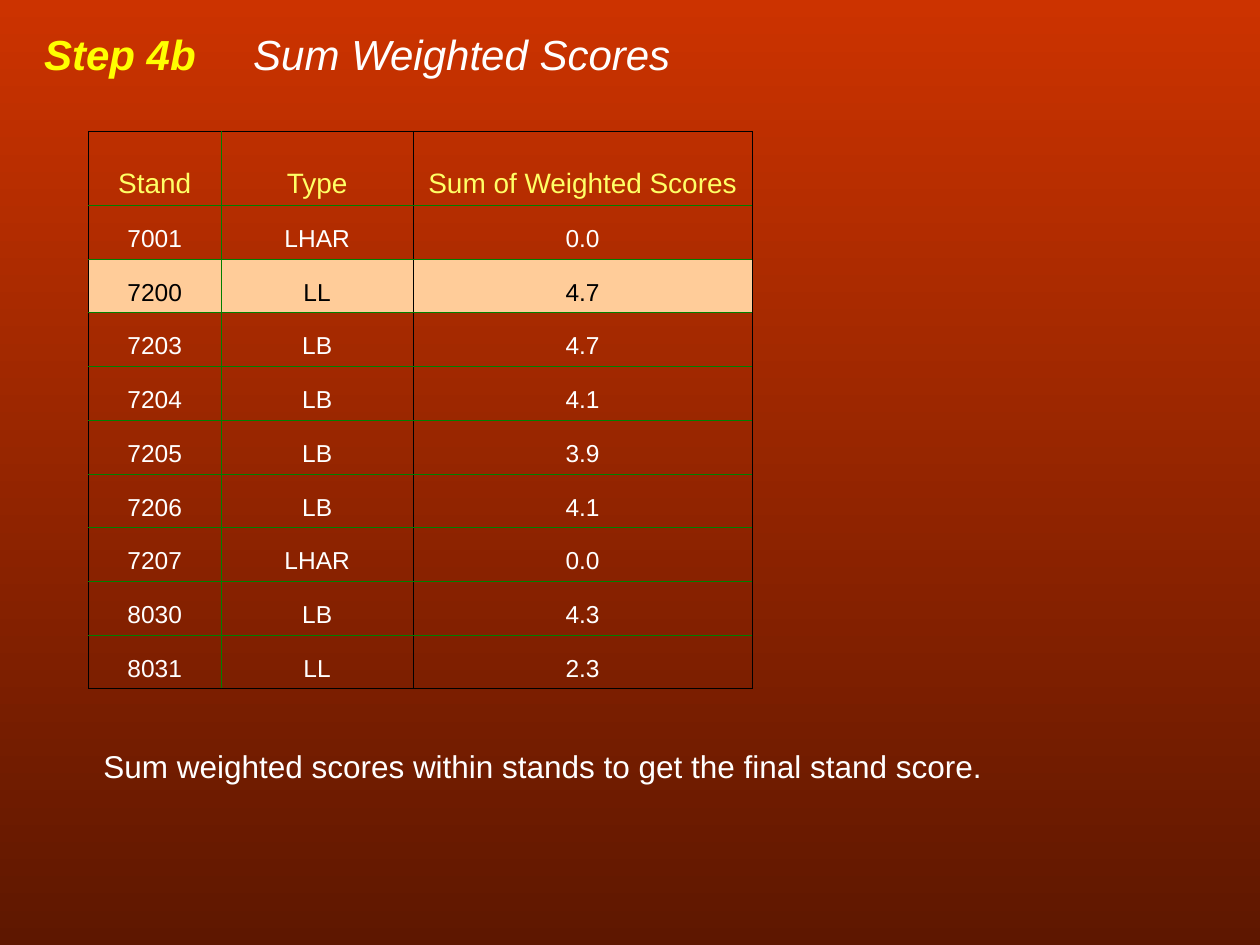
from lxml import etree
from pptx import Presentation
from pptx.dml.color import RGBColor
from pptx.enum.text import MSO_ANCHOR, MSO_AUTO_SIZE, PP_ALIGN
from pptx.oxml.ns import qn
from pptx.util import Pt

TOP, BOTTOM = MSO_ANCHOR.TOP, MSO_ANCHOR.BOTTOM
LEFT, CENTER = PP_ALIGN.LEFT, PP_ALIGN.CENTER
NO_AUTOFIT = MSO_AUTO_SIZE.NONE
TITLE_ONLY = 5
BLACK, GREEN, WHITE = "000000", "008000", "FFFFFF"


def format_font(font, size, color, bold=False, italic=False):
    font.name = "Arial"
    font.size = Pt(size)
    font.bold = bold
    font.italic = italic
    font.color.rgb = RGBColor.from_string(color)


def add_border(cell, side, color):
    line = etree.SubElement(cell._tc.get_or_add_tcPr(), qn(f"a:ln{side}"), w=str(Pt(0.45)))
    fill = etree.SubElement(line, qn("a:solidFill"))
    etree.SubElement(fill, qn("a:srgbClr"), val=color)


presentation = Presentation()
presentation.slide_width = Pt(720)
presentation.slide_height = Pt(540)
slide = presentation.slides.add_slide(presentation.slide_layouts[TITLE_ONLY])

# Background gradient, from top to bottom
background = slide.background.fill
background.gradient()
background.gradient_angle = 270
for stop, color in zip(background.gradient_stops, ("CC3300", "5E1700")):
    stop.color.rgb = RGBColor.from_string(color)

# Title: step number, tab, step name
title = slide.shapes.title
title.left, title.top, title.width, title.height = Pt(18), Pt(12.5), Pt(380), Pt(36)
title.text_frame.vertical_anchor = TOP
title.text_frame.auto_size = NO_AUTOFIT
paragraph = title.text_frame.paragraphs[0]
paragraph.alignment = LEFT
tabs = etree.SubElement(paragraph._p.get_or_add_pPr(), qn("a:tabLst"))
etree.SubElement(tabs, qn("a:tab"), pos=str(Pt(119.5)), algn="l")
for text, color, bold in (("Step 4b\t", "FFFF00", True), ("Sum Weighted Scores", WHITE, False)):
    run = paragraph.add_run()
    run.text = text
    format_font(run.font, 24, color, bold=bold, italic=True)

# Score table
rows = [
    ("Stand", "Type", "Sum of Weighted Scores"),
    ("7001", "LHAR", "0.0"),
    ("7200", "LL", "4.7"),
    ("7203", "LB", "4.7"),
    ("7204", "LB", "4.1"),
    ("7205", "LB", "3.9"),
    ("7206", "LB", "4.1"),
    ("7207", "LHAR", "0.0"),
    ("8030", "LB", "4.3"),
    ("8031", "LL", "2.3"),
]
column_widths = (76, 109.7, 193.7)
header_height, row_height = 42.3, 30.7
highlighted_row = 2
last_row = len(rows) - 1
table = slide.shapes.add_table(
    len(rows), len(column_widths), Pt(50.4), Pt(75), Pt(sum(column_widths)),
    Pt(header_height + last_row * row_height)).table
table.first_row = False
table.horz_banding = False
for column, width in zip(table.columns, column_widths):
    column.width = Pt(width)

for row_index, values in enumerate(rows):
    is_header = row_index == 0
    is_highlighted = row_index == highlighted_row
    table.rows[row_index].height = Pt(row_height if not is_header else header_height)
    for column_index, value in enumerate(values):
        cell = table.cell(row_index, column_index)
        # Green inside, black around the table and before the last column
        add_border(cell, "L", GREEN if column_index == 1 else BLACK)
        add_border(cell, "R", GREEN if column_index == 0 else BLACK)
        add_border(cell, "T", BLACK if is_header else GREEN)
        add_border(cell, "B", BLACK if row_index == last_row else GREEN)
        if is_highlighted:
            cell.fill.solid()
            cell.fill.fore_color.rgb = RGBColor.from_string("FFCC99")
        else:
            cell.fill.background()
        cell.vertical_anchor = BOTTOM
        cell.text_frame.text = value
        paragraph = cell.text_frame.paragraphs[0]
        paragraph.alignment = CENTER
        color = "FFFF66" if is_header else BLACK if is_highlighted else WHITE
        format_font(paragraph.runs[0].font, 16 if is_header else 14, color)

# Explanation below the table
explanation = slide.shapes.add_textbox(Pt(52), Pt(423.5), Pt(612), Pt(50))
explanation.text_frame.word_wrap = True
explanation.text_frame.text = "Sum weighted scores within stands to get the final stand score."
format_font(explanation.text_frame.paragraphs[0].runs[0].font, 18, WHITE)

presentation.save("out.pptx")
